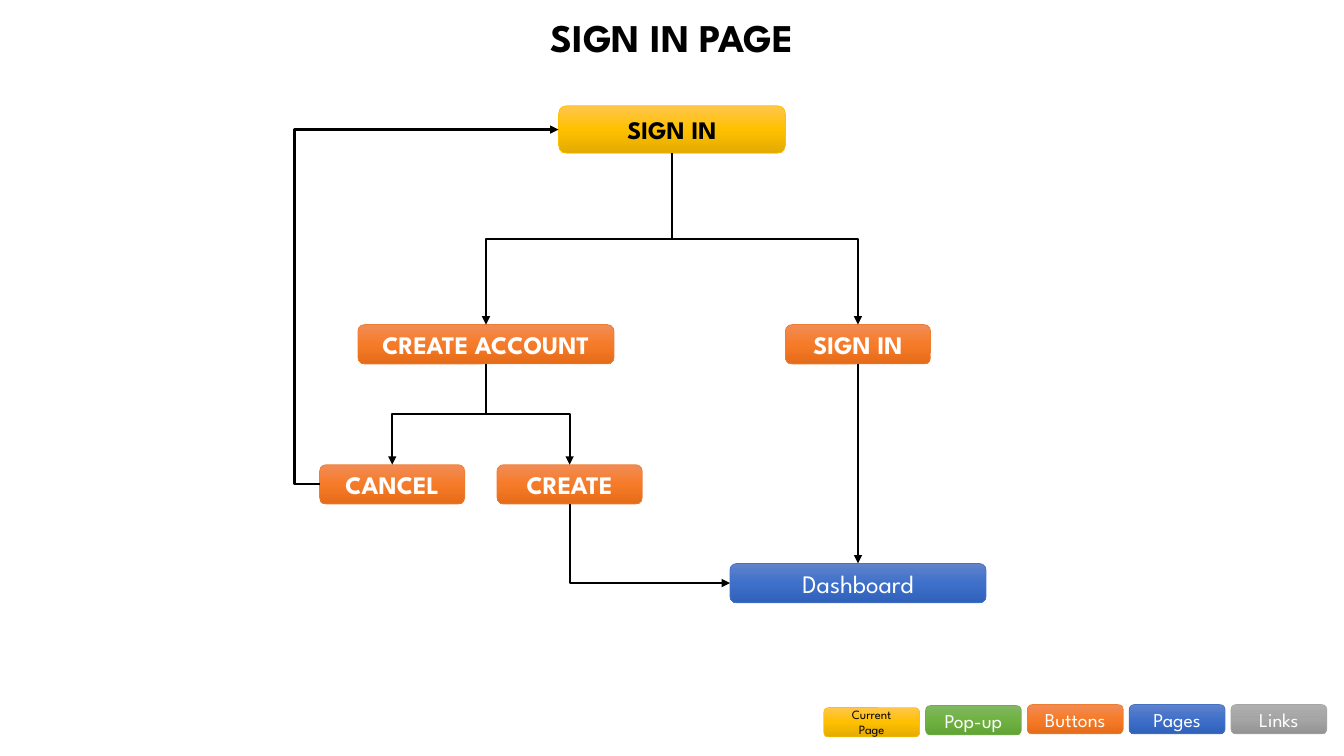
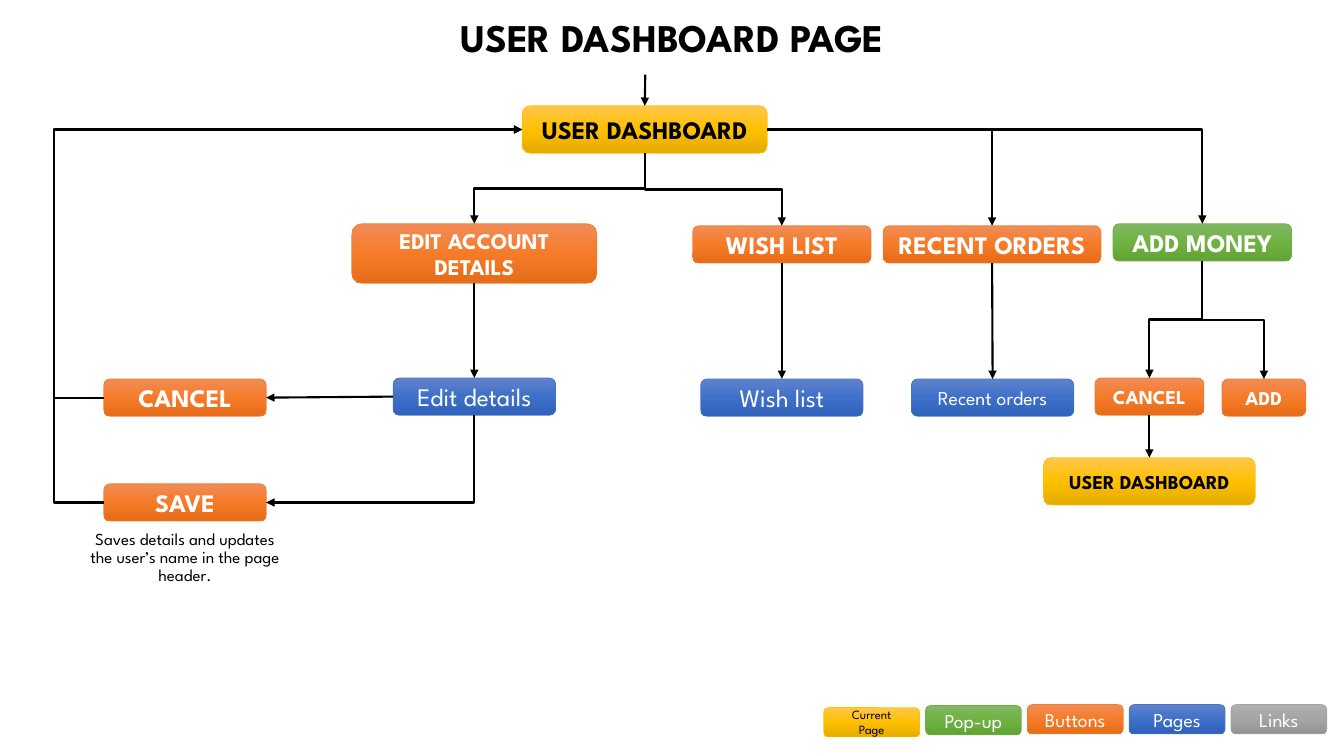
from copy import deepcopy
from lxml.etree import SubElement
from pptx import Presentation
from pptx.dml.color import RGBColor
from pptx.enum.shapes import MSO_CONNECTOR, MSO_SHAPE
from pptx.enum.text import MSO_ANCHOR, MSO_AUTO_SIZE, PP_ALIGN
from pptx.oxml.ns import qn
from pptx.util import Inches, Pt

FONT = "League Spartan"
W, H = 13.33, 7.5
COLORS = {"black": "000000", "white": "FFFFFF"}
KINDS = {
    "current": {"grad": ("FFC64B", "FFC000", "E3AB00"), "line": "FFC000", "text": "black", "bold": True},
    "popup": {"grad": ("81B861", "6FB242", "62A336"), "line": "70AD47", "text": "white", "bold": True},
    "button": {"grad": ("F18C57", "F67B28", "E56C19"), "line": "ED7D31", "text": "white", "bold": True},
    "page": {"grad": ("6183CB", "3E70CA", "3062BB"), "line": "4472C4", "text": "white", "bold": False},
    "link": {"grad": ("AFAFAF", "A5A5A5", "939393"), "line": "A5A5A5", "text": "white", "bold": False},
}
LEGEND = [
    ("current", "Current\nPage", 7.02, 9),
    ("popup", "Pop-up", 7, 14),
    ("button", "Buttons", 6.99, 14),
    ("page", "Pages", 6.99, 14),
    ("link", "Links", 6.99, 14),
]
LEGEND_LEFT, LEGEND_STEP, LEGEND_SIZE = 8.17, 1.01, (0.95, 0.29)
TOP, LEFT, BOTTOM, RIGHT = range(4)

SLIDES = [
    {
        "title": "SIGN IN PAGE",
        "nodes": {
            "start": ("current", "SIGN IN", 5.54, 1.05, 2.25, 0.47, 18),
            "account": ("button", "CREATE ACCOUNT", 3.55, 3.22, 2.54, 0.39, 18),
            "sign_in": ("button", "SIGN IN", 7.79, 3.22, 1.44, 0.39, 18),
            "cancel": ("button", "CANCEL", 3.17, 4.61, 1.44, 0.39, 18),
            "create": ("button", "CREATE", 4.93, 4.61, 1.44, 0.39, 18),
            "dashboard": ("page", "Dashboard", 7.24, 5.59, 2.54, 0.39, 18),
        },
        "straight": [("sign_in", BOTTOM, "dashboard", TOP)],
        "bent": [
            ("start", BOTTOM, "account", TOP),
            ("start", BOTTOM, "sign_in", TOP),
            ("account", BOTTOM, "cancel", TOP),
            ("account", BOTTOM, "create", TOP),
            ("create", BOTTOM, "dashboard", LEFT),
            ("cancel", LEFT, "start", LEFT),
        ],
        "loop_out": 0.25,
    },
    {
        "title": "USER DASHBOARD PAGE",
        "nodes": {
            "start": ("current", "USER DASHBOARD", 5.18, 1.05, 2.43, 0.47, 18),
            "account": ("button", "EDIT ACCOUNT DETAILS", 3.49, 2.22, 2.43, 0.59, 16),
            "wish": ("button", "WISH LIST", 6.87, 2.24, 1.77, 0.37, 18),
            "recent": ("button", "RECENT ORDERS", 8.76, 2.24, 2.16, 0.37, 18),
            "money": ("popup", "ADD MONEY", 11.04, 2.22, 1.77, 0.37, 18),
            "cancel": ("button", "CANCEL", 1.03, 3.76, 1.61, 0.37, 18),
            "edit": ("page", "Edit details", 3.9, 3.75, 1.61, 0.37, 18),
            "wish_page": ("page", "Wish list", 6.95, 3.76, 1.61, 0.37, 18),
            "recent_page": ("page", "Recent orders", 9.04, 3.76, 1.61, 0.37, 14),
            "cancel_money": ("button", "CANCEL", 10.86, 3.75, 1.08, 0.37, 14),
            "add": ("button", "ADD", 12.12, 3.76, 0.83, 0.37, 14),
            "save": ("button", "SAVE", 1.03, 4.8, 1.61, 0.37, 18),
            "back": ("current", "USER DASHBOARD", 10.35, 4.54, 2.1, 0.47, 14),
        },
        "straight": [
            ("account", BOTTOM, "edit", TOP),
            ("edit", LEFT, "cancel", RIGHT),
            ("wish", BOTTOM, "wish_page", TOP),
            ("recent", BOTTOM, "recent_page", TOP),
            ("cancel_money", BOTTOM, "back", TOP),
        ],
        "bent": [
            ("edit", BOTTOM, "save", RIGHT),
            ("cancel", LEFT, "start", LEFT),
            ("save", LEFT, "start", LEFT),
            ("start", BOTTOM, "account", TOP),
            ("start", BOTTOM, "wish", TOP),
            ("start", RIGHT, "recent", TOP),
            ("start", RIGHT, "money", TOP),
            ("money", BOTTOM, "cancel_money", TOP),
            ("money", BOTTOM, "add", TOP),
        ],
        "loop_out": 0.5,
        "entry": (6.4, 0.74),
        "note": ("Saves details and updates the user’s name in the page header.", 0.75, 5.22, 2.17, 0.81),
    },
]


def place(sp, x, y, w, h):
    sp.left, sp.top, sp.width, sp.height = (Inches(v) for v in (x, y, w, h))


def write(tf, text, size, color, bold=False):
    tf.word_wrap = True
    for i, line in enumerate(text.split("\n")):
        p = tf.add_paragraph() if i else tf.paragraphs[0]
        p.alignment = PP_ALIGN.CENTER
        r = p.add_run()
        r.text = line
        r.font.name, r.font.size, r.font.bold = FONT, Pt(size), bold
        r.font.color.rgb = RGBColor.from_string(COLORS[color])


def write_block(tf, text, size, bold=False):
    write(tf, text, size, "black", bold)
    tf.auto_size = MSO_AUTO_SIZE.NONE
    tf.vertical_anchor = MSO_ANCHOR.TOP
    tf.paragraphs[0].line_spacing = 0.9
    tf.paragraphs[0].space_before = Pt(10)


def add_node(s, kind, text, x, y, w, h, size, bold=None):
    style = KINDS[kind]
    sp = s.shapes.add_shape(MSO_SHAPE.ROUNDED_RECTANGLE, *(Inches(v) for v in (x, y, w, h)))
    sp.shadow.inherit = False
    sp.fill.gradient()
    sp.fill.gradient_angle = 270
    stops = sp._element.spPr.find(".//" + qn("a:gsLst"))
    stops.insert(1, deepcopy(stops[0]))
    for i, (stop, color) in enumerate(zip(sp.fill.gradient_stops, style["grad"])):
        stop.position = i / 2
        stop.color.rgb = RGBColor.from_string(color)
    sp.line.color.rgb = RGBColor.from_string(style["line"])
    sp.line.width = Pt(0.5)
    sp.text_frame.vertical_anchor = MSO_ANCHOR.MIDDLE
    write(sp.text_frame, text, size, style["text"], style["bold"] if bold is None else bold)
    return sp


def add_arrow(s, kind, end, end_side, begin=None, begin_side=None, at=(0, 0)):
    x, y = (Inches(v) for v in at)
    c = s.shapes.add_connector(kind, x, y, x, y)
    if begin is not None:
        c.begin_connect(begin, begin_side)
    c.end_connect(end, end_side)
    c.line.color.rgb = RGBColor.from_string(COLORS["black"])
    c.line.width = Pt(1.5)
    spPr = c._element.spPr
    SubElement(spPr.find(qn("a:ln")), qn("a:tailEnd"), type="triangle")
    SubElement(spPr, qn("a:effectLst"))
    return c


def bend(c, begin_side, end_side, loop_out):
    x1, y1, x2, y2 = c.begin_x, c.begin_y, c.end_x, c.end_y
    w, h = abs(x2 - x1), abs(y2 - y1)
    turn, flip = 0, False
    if begin_side == BOTTOM:
        turn, flip = (270, True) if x2 > x1 else (90, False)
        w, h = h, w
    elif begin_side == LEFT:
        turn, flip = 180, True
    c.left, c.top = (x1 + x2 - w) // 2, (y1 + y2 - h) // 2
    c.width, c.height = w, h
    spPr = c._element.spPr
    xfrm = spPr.find(qn("a:xfrm"))
    xfrm.set("rot", str(turn * 60000))
    xfrm.set("flipH", str(int(flip)))
    xfrm.set("flipV", "0")
    geom = spPr.find(qn("a:prstGeom"))
    corner = (begin_side in (LEFT, RIGHT)) != (end_side in (LEFT, RIGHT))
    geom.set("prst", "bentConnector2" if corner else "bentConnector3")
    if begin_side == end_side:
        share = round(-Inches(loop_out) / w * 100000)
        SubElement(geom.find(qn("a:avLst")), qn("a:gd"), name="adj1", fmla=f"val {share}")


def build(prs, data):
    s = prs.slides.add_slide(prs.slide_layouts[5])
    title = s.shapes.title
    place(title, 0, 0.13, W, 0.56)
    write_block(title.text_frame, data["title"], 28, True)
    nodes = {key: add_node(s, *node) for key, node in data["nodes"].items()}
    for a, a_side, b, b_side in data["straight"]:
        add_arrow(s, MSO_CONNECTOR.STRAIGHT, nodes[b], b_side, nodes[a], a_side)
    for a, a_side, b, b_side in data["bent"]:
        c = add_arrow(s, MSO_CONNECTOR.ELBOW, nodes[b], b_side, nodes[a], a_side)
        bend(c, a_side, b_side, data["loop_out"])
    if "entry" in data:
        add_arrow(s, MSO_CONNECTOR.STRAIGHT, nodes["start"], TOP, at=data["entry"])
    if "note" in data:
        text, *box = data["note"]
        tb = s.shapes.add_textbox(*(Inches(v) for v in box))
        write_block(tb.text_frame, text, 12)
    for i, (kind, text, y, size) in enumerate(LEGEND):
        add_node(s, kind, text, LEGEND_LEFT + i * LEGEND_STEP, y, *LEGEND_SIZE, size, bold=False)


def main():
    prs = Presentation()
    prs.slide_width, prs.slide_height = Inches(W), Inches(H)
    for data in SLIDES:
        build(prs, data)
    prs.save("out.pptx")


if __name__ == "__main__":
    main()
